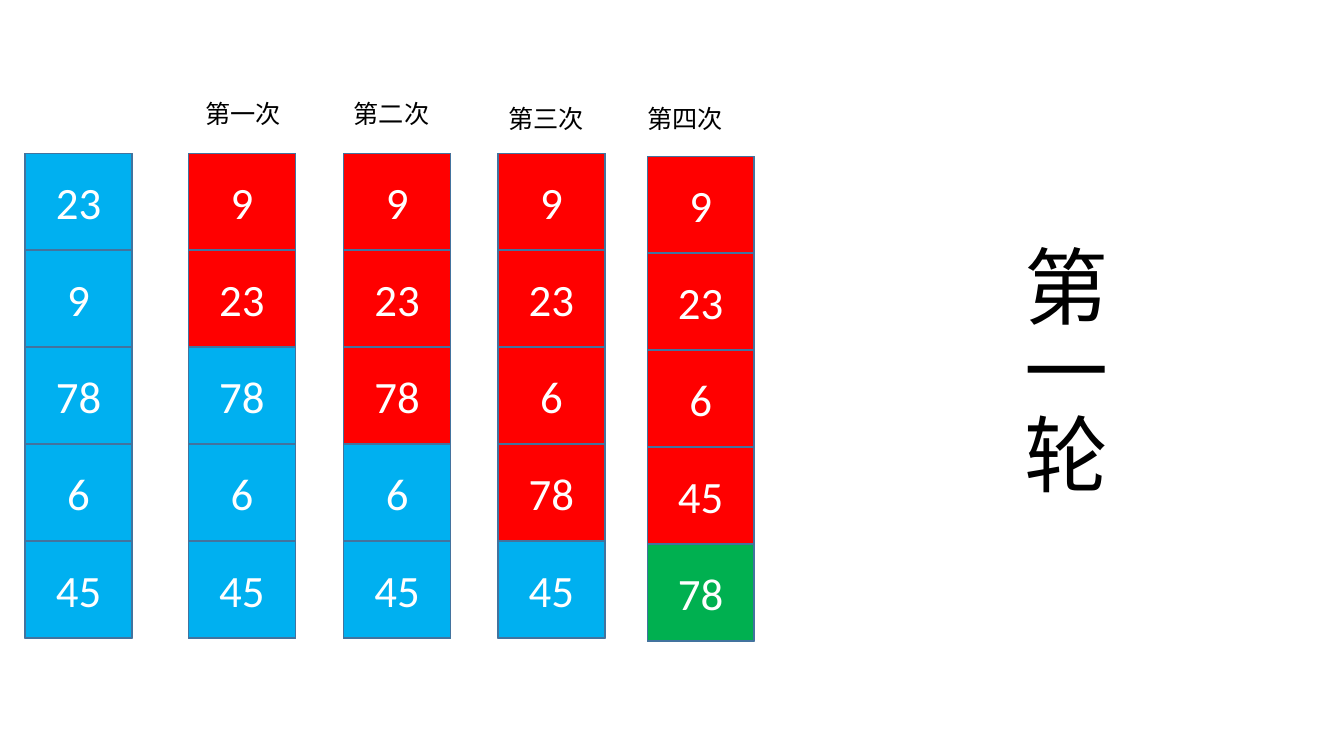
from pptx import Presentation
from pptx.dml.color import RGBColor
from pptx.enum.shapes import MSO_SHAPE
from pptx.enum.text import MSO_ANCHOR, MSO_AUTO_SIZE, PP_ALIGN
from pptx.util import Inches, Pt

FONT = "Calibri"
PENDING, COMPARED, SETTLED = "00B0F0", "FF0000", "00B050"
OUTLINE, WHITE, BLACK = "43739E", "FFFFFF", "000000"
COLUMN_WIDTH, COLUMN_HEIGHT = 1.06, 4.81

# left, top, values, number of compared cells, number of settled cells
COLUMNS = [
    (0.25, 1.52, [23, 9, 78, 6, 45], 0, 0),
    (1.87, 1.52, [9, 23, 78, 6, 45], 2, 0),
    (3.41, 1.52, [9, 23, 78, 6, 45], 3, 0),
    (4.94, 1.52, [9, 23, 6, 78, 45], 4, 0),
    (6.42, 1.55, [9, 23, 6, 45, 78], 4, 1),
]
# left, top, text
STEP_LABELS = [
    (1.94, 0.93, "第一次"),
    (3.41, 0.93, "第二次"),
    (4.94, 0.98, "第三次"),
    (6.32, 0.98, "第四次"),
]


def color(hex_string):
    """Turn a hex string into a colour."""
    return RGBColor.from_string(hex_string)


def write(frame, text, size, hex_color):
    """Put one styled line into a text frame and return its paragraph."""
    paragraph = frame.paragraphs[0]
    run = paragraph.add_run()
    run.text = text
    run.font.name = FONT
    run.font.size = Pt(size)
    run.font.color.rgb = color(hex_color)
    return paragraph


def add_block(slide, left, top, width, height, fill):
    """Draw an outlined rectangle."""
    block = slide.shapes.add_shape(
        MSO_SHAPE.RECTANGLE, Inches(left), Inches(top), Inches(width), Inches(height))
    block.shadow.inherit = False
    block.fill.solid()
    block.fill.fore_color.rgb = color(fill)
    block.line.color.rgb = color(OUTLINE)
    block.line.width = Pt(1)
    return block


def add_array_column(slide, left, top, width, height, values, compared, settled):
    """Stack the array's values in equal cells over a backing block."""
    add_block(slide, left, top, width, height, PENDING)
    cell_height = height / len(values)
    for row, value in enumerate(values):
        if row >= len(values) - settled:
            fill = SETTLED
        else:
            fill = COMPARED if row < compared else PENDING
        cell = add_block(slide, left, top + row * cell_height, width, cell_height, fill)
        cell.text_frame.vertical_anchor = MSO_ANCHOR.MIDDLE
        write(cell.text_frame, str(value), 32, WHITE).alignment = PP_ALIGN.CENTER


def add_label(slide, left, top, width, height, text, size, vertical=False):
    """Add a black label, optionally set in vertical East Asian text."""
    box = slide.shapes.add_textbox(
        Inches(left), Inches(top), Inches(width), Inches(height))
    frame = box.text_frame
    frame.word_wrap = True
    frame.auto_size = MSO_AUTO_SIZE.SHAPE_TO_FIT_TEXT
    if vertical:
        box.element.txBody.bodyPr.set("vert", "eaVert")
    write(frame, text, size, BLACK)


def build_round_slide(prs):
    """Show each step of the first sorting round, with the round's title."""
    slide = prs.slides.add_slide(prs.slide_layouts[6])
    for left, top, values, compared, settled in COLUMNS:
        add_array_column(slide, left, top, COLUMN_WIDTH, COLUMN_HEIGHT,
                         values, compared, settled)
    for left, top, text in STEP_LABELS:
        add_label(slide, left, top, 1.62, 0.4, text, 18)
    add_label(slide, 9.89, 2.33, 1.21, 5.51, "第一轮", 60, vertical=True)


prs = Presentation()
prs.slide_width, prs.slide_height = Inches(13.33), Inches(7.5)
build_round_slide(prs)
prs.save("out.pptx")
